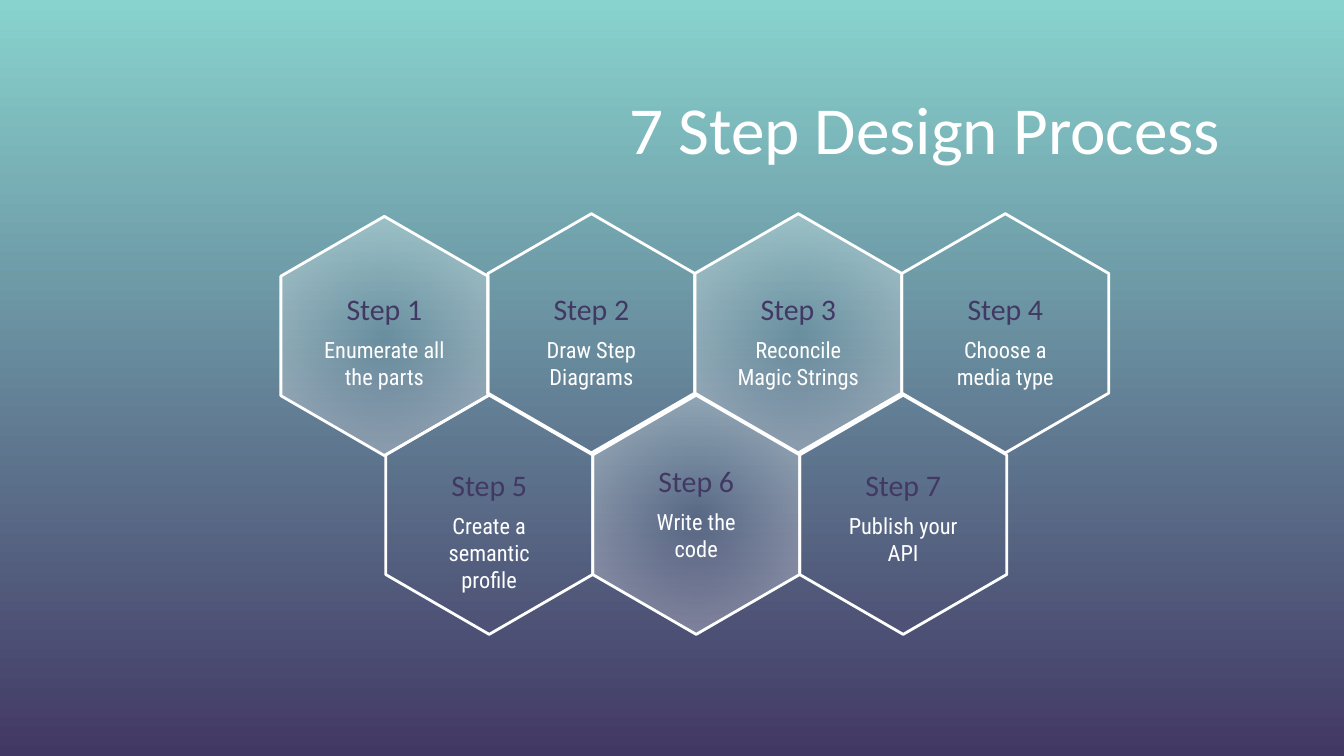
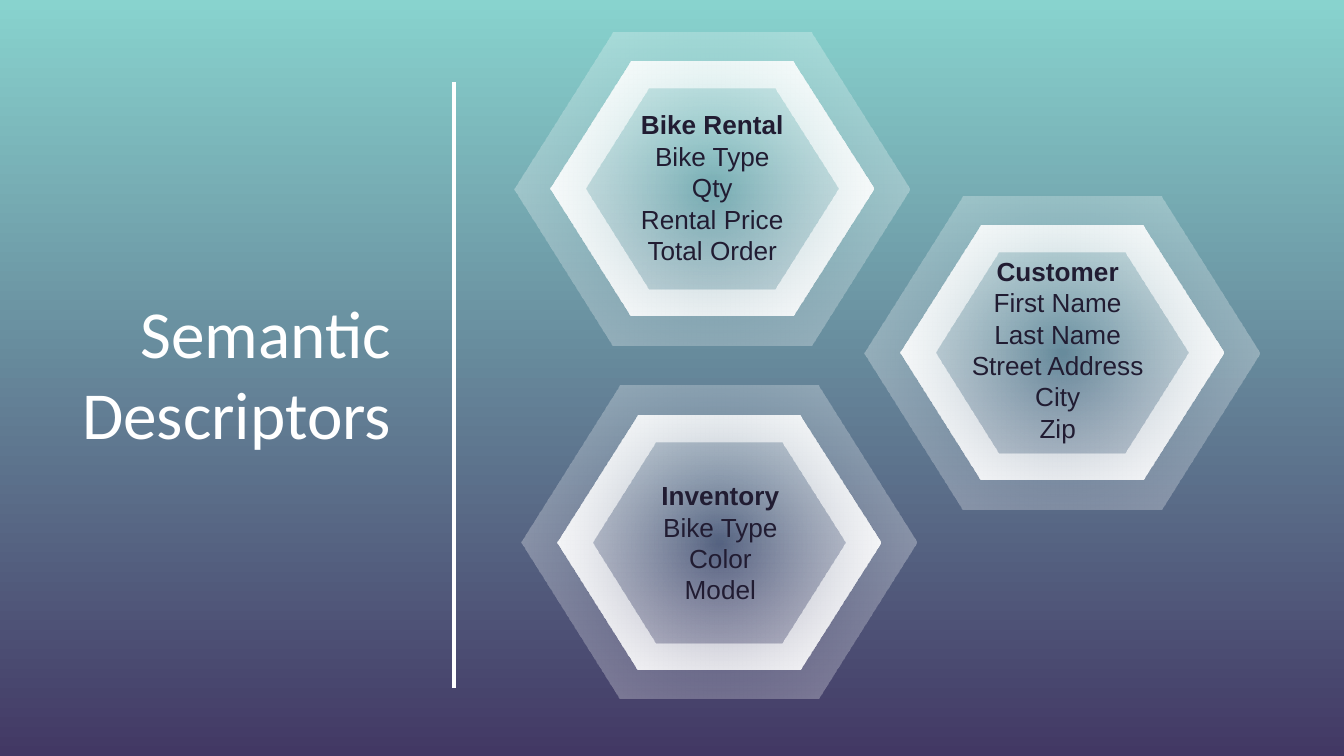
from pptx import Presentation
from pptx.dml.color import RGBColor
from pptx.enum.shapes import MSO_CONNECTOR
from pptx.enum.text import MSO_ANCHOR, MSO_AUTO_SIZE, PP_ALIGN
from pptx.oxml import parse_xml
from pptx.oxml.ns import nsdecls, qn
from pptx.util import Inches, Pt

STRAIGHT = MSO_CONNECTOR.STRAIGHT
TOP, BOTTOM = MSO_ANCHOR.TOP, MSO_ANCHOR.BOTTOM
GROW = MSO_AUTO_SIZE.SHAPE_TO_FIT_TEXT
CENTER, RIGHT = PP_ALIGN.CENTER, PP_ALIGN.RIGHT

WIDTH, HEIGHT = 10, 10 * 9 / 16
WHITE, TEAL, PURPLE, INK = "FFFFFF", "88D3CE", "423864", "211C32"
HEAD, BODY, PLAIN = "Calibri", "Roboto Condensed", "Arial"
GLOW, RING = (0, 39), (21, 100)  # opacity at centre and edge, percent

# Row left, then hexagon top, label top, text, glow
STEP_W, STEP_H, PITCH = 1.78, 1.54, 1.54
ROWS = [
    (1.97, [(1.73, 2.13, "Enumerate all the parts", True),
            (1.71, 2.13, "Draw Step Diagrams", False),
            (1.71, 2.13, "Reconcile Magic Strings", True),
            (1.71, 2.13, "Choose a media type", False)]),
    (2.75, [(3.06, 3.44, "Create a semantic profile", False),
            (3.06, 3.41, "Write the code", True),
            (3.06, 3.44, "Publish your API", False)]),
]

# Hexagon corner, text box relative to it, lines
GROUPS = [
    (3.88, 2.87, (0.59, 0.65, 1.78, 1.04),
     ["Inventory", "Bike Type", "Color", "Model"]),
    (6.43, 1.46, (0.55, 0.39, 1.78, 1.75),
     ["Customer", "First Name", "Last Name", "Street Address", "City", "Zip"]),
    (3.83, 0.24, (0.58, 0.52, 1.78, 1.28),
     ["Bike Rental", "Bike Type", "Qty", "Rental Price", "Total Order"]),
]


def color(code):
    return RGBColor.from_string(code)


def inset(box, dx, dy):
    x, y, w, h = box
    return x + dx, y + dy, w - 2 * dx, h - 2 * dy


def corners(box):
    """Points of a flat-topped hexagon, clockwise from its top left."""
    x, y, w, h = box
    side = w / 4
    spots = [(x + side, y), (x + w - side, y), (x + w, y + h / 2),
             (x + w - side, y + h), (x + side, y + h), (x, y + h / 2)]
    return [(Inches(a), Inches(b)) for a, b in spots]


def radial(shape, fade):
    """Fill a shape with white whose opacity runs from centre to edge."""
    stops = "".join(
        f'<a:gs pos="{pos}"><a:srgbClr val="{WHITE}">'
        f'<a:alpha val="{alpha * 1000}"/></a:srgbClr></a:gs>'
        for pos, alpha in zip((0, 100000), fade))
    grad = parse_xml(
        f'<a:gradFill {nsdecls("a")} rotWithShape="1"><a:gsLst>{stops}</a:gsLst>'
        '<a:path path="circle"><a:fillToRect l="50000" t="50000" r="50000" '
        'b="50000"/></a:path></a:gradFill>')
    shape.fill.background()
    props = shape._element.spPr
    props.replace(props.find(qn("a:noFill")), grad)


def hexagon(shapes, box, fade=None, hole=None, edge=None, turn=0):
    points = corners(box)
    pen = shapes.build_freeform(*points[0])
    pen.add_line_segments(points[1:], close=True)
    if hole:
        inner = corners(hole)[::-1]
        pen.move_to(*inner[0])
        pen.add_line_segments(inner[1:], close=True)
    shape = pen.convert_to_shape()
    shape.rotation = turn
    shape.shadow.inherit = False
    if fade:
        radial(shape, fade)
    else:
        shape.fill.background()
    if edge:
        shape.line.color.rgb = color(WHITE)
        shape.line.width = Pt(edge)
    else:
        shape.line.fill.background()


def label(slide, box, lines, size, font, tint, align=CENTER, anchor=TOP, pad=0.1):
    shape = slide.shapes.add_textbox(*map(Inches, box))
    frame = shape.text_frame
    frame.word_wrap = True
    frame.vertical_anchor = anchor
    frame.margin_left = frame.margin_right = Inches(0.1)
    frame.margin_top = frame.margin_bottom = Inches(pad)
    frame.text = "\n".join(lines)
    for para in frame.paragraphs:
        para.alignment = align
        for run in para.runs:
            run.font.size = Pt(size)
            run.font.name = font
            run.font.color.rgb = color(tint)
    return frame


def title(slide, box, text):
    label(slide, box, [text], 36, HEAD, WHITE, align=RIGHT)


def new_slide(deck):
    slide = deck.slides.add_slide(deck.slide_layouts[6])
    fill = slide.background.fill
    fill.gradient()
    fill.gradient_angle = 270
    for stop, code in zip(fill.gradient_stops, (TEAL, PURPLE)):
        stop.color.rgb = color(code)
    return slide


def step(slide, left, top, head, number, text, glow):
    hexagon(slide.shapes, (left, top, STEP_W, STEP_H),
            fade=GLOW if glow else None, edge=1.5, turn=90)
    x = left + 0.33
    label(slide, (x, head, 1.12, 0.4), [f"Step {number}"], 16, HEAD, PURPLE,
          anchor=BOTTOM)
    label(slide, (x, head + 0.27, 1.12, 0.31), [text], 12, BODY, WHITE)


def process(deck):
    slide = new_slide(deck)
    number = 0
    for left, steps in ROWS:
        for col, (top, head, text, glow) in enumerate(steps):
            number += 1
            step(slide, left + col * PITCH, top, head, number, text, glow)
    title(slide, (0, 0.55, 9.18, 0.73), "7 Step Design Process")


def cluster(slide, left, top, place, lines):
    # Nested hexagons
    outer = (left, top, 2.94, 2.33)
    middle = inset(outer, 0.27, 0.22)
    shapes = slide.shapes.add_group_shape().shapes
    for box in (outer, middle, middle):
        hexagon(shapes, box, fade=GLOW)
    hexagon(shapes, middle, fade=RING, hole=inset(middle, 0.26, 0.2))

    # Heading and its fields
    x, y, w, h = place
    frame = label(slide, (left + x, top + y, w, h), lines, 14, PLAIN, INK, pad=0.05)
    frame.auto_size = GROW
    frame.paragraphs[0].runs[0].font.bold = True


def descriptors(deck):
    slide = new_slide(deck)
    for group in GROUPS:
        cluster(slide, *group)
    title(slide, (-0.28, 2.07, 3.29, 1.36), "Semantic Descriptors")

    # Divider
    ends = map(Inches, (3.38, 0.61, 3.38, 5.12))
    rule = slide.shapes.add_connector(STRAIGHT, *ends)
    rule.line.color.rgb = color(WHITE)
    rule.line.width = Pt(2.25)
    rule._element.spPr.append(parse_xml(f'<a:effectLst {nsdecls("a")}/>'))


def main():
    deck = Presentation()
    deck.slide_width, deck.slide_height = Inches(WIDTH), Inches(HEIGHT)
    process(deck)
    descriptors(deck)
    deck.save("out.pptx")


if __name__ == "__main__":
    main()
